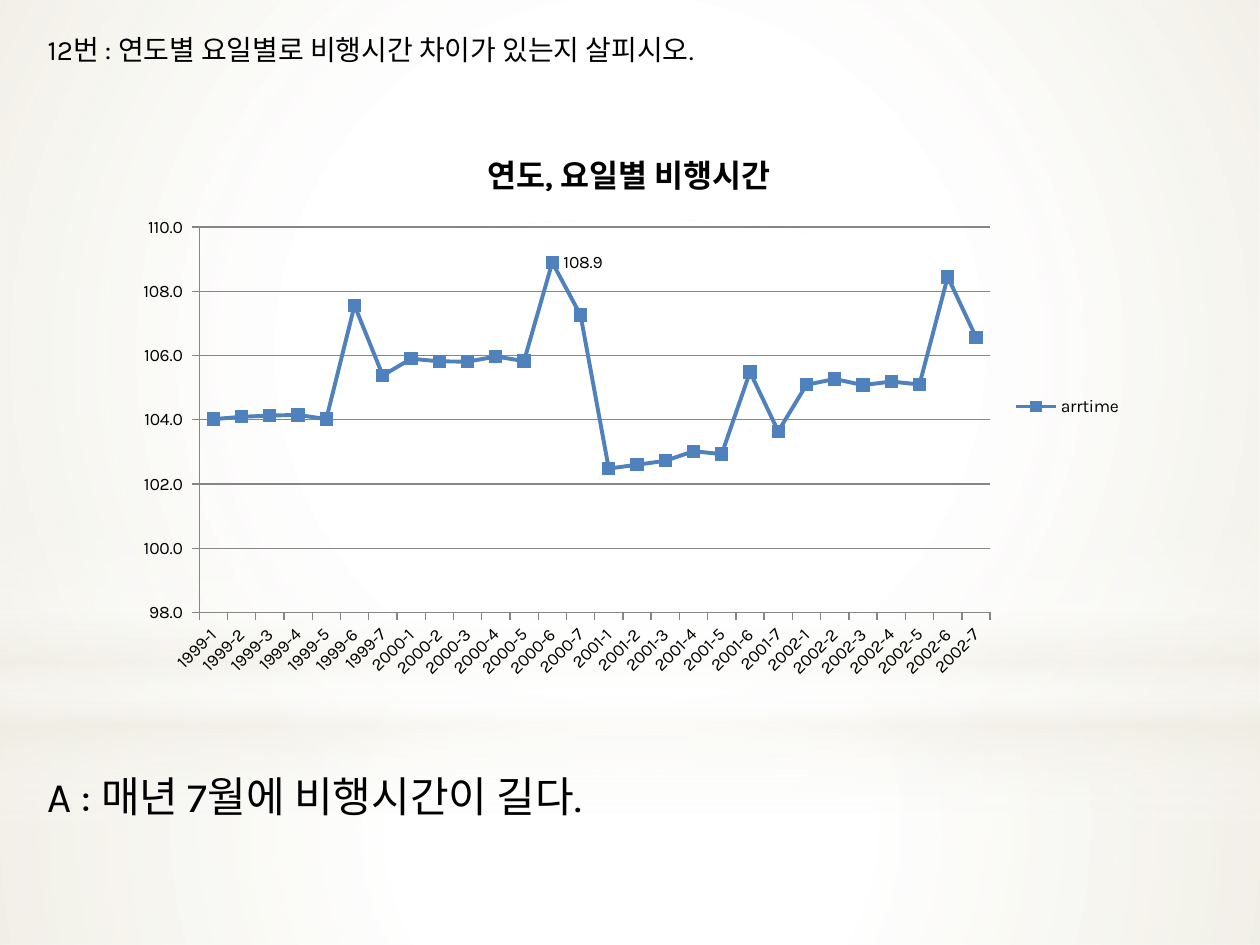
from lxml import etree
from pptx import Presentation
from pptx import util as u
from pptx.chart.data import CategoryChartData
from pptx.dml.color import RGBColor
from pptx.enum import chart as charts, shapes, text
from pptx.oxml import parse_xml
from pptx.oxml.ns import nsdecls, qn

PX = 914400 / 126
FONT = "Karla"
BLACK, GRAY, BLUE = "000000", "868686", "4F81BD"

QUESTION = ("12번 : 연도별 요일별로 비행시간 차이가 있는지 살피시오.", (35, 26, 759, 47), 16)
ANSWER = ("A : 매년 7월에 비행시간이 길다.", (35, 764, 633, 63), 24)

CHART_BOX = (123, 123, 1012, 567)
CHART_TITLE = "연도, 요일별 비행시간"
SERIES_NAME = "arrtime"
LABELLED_POINT = 12
FLIGHT_TIMES = {
    1999: (104.02, 104.09, 104.13, 104.15, 104.02, 107.56, 105.38),
    2000: (105.9, 105.82, 105.81, 105.97, 105.83, 108.9, 107.26),
    2001: (102.48, 102.6, 102.72, 103.02, 102.93, 105.49, 103.64),
    2002: (105.09, 105.27, 105.08, 105.19, 105.1, 108.45, 106.57),
}

RADIAL = '<a:path path="circle"><a:fillToRect l="50000" t="50000" r="50000" b="50000"/></a:path>'
DOWNWARD = '<a:lin ang="5400000" scaled="0"/>'
RECT, OVAL = shapes.MSO_SHAPE.RECTANGLE, shapes.MSO_SHAPE.OVAL
# preset, box, direction, stops as (position %, colour, opacity %)
BACKDROP = [
    (RECT, (0, 703, 1260, 242), RADIAL,
     [(0, "FFFFFF", 91), (37, "FFFFFF", 76), (100, "EEECE1", 79)]),
    (RECT, (0, 0, 1260, 703), RADIAL,
     [(0, "FFFFFF", 89), (48, "FFFFFF", 62), (100, "EEECE1", 79)]),
    (RECT, (0, 519, 1260, 315), DOWNWARD,
     [(0, "FFFFFF", 0), (29, "FFFFFF", 30), (45, "EEECE1", 40),
      (55, "FFFFFF", 26), (65, "EEECE1", 60), (100, "FFFFFF", 0)]),
    (OVAL, (0, 220, 1260, 703), RADIAL, [(0, "FFFFFF", 100), (56, "FFFFFF", 0)]),
]


def color(value):
    return RGBColor.from_string(value)


def emu(box):
    return [round(length * PX) for length in box]


def set_all(target, values):
    for name, value in values.items():
        setattr(target, name, value)


def style_font(font, size, bold=False):
    set_all(font, {"name": FONT, "size": u.Pt(size), "bold": bold})
    font.color.rgb = color(BLACK)


def style_line(line, value, width):
    line.color.rgb = color(value)
    line.width = u.Pt(width)


def add_backdrop(slide, preset, box, direction, stops):
    shape = slide.shapes.add_shape(preset, *emu(box))
    shape.shadow.inherit = False
    shape.line.fill.background()
    stop_xml = "".join(
        f'<a:gs pos="{position * 1000}"><a:srgbClr val="{value}">'
        f'<a:alpha val="{opacity * 1000}"/></a:srgbClr></a:gs>'
        for position, value, opacity in stops)
    gradient = parse_xml(f'<a:gradFill {nsdecls("a")} rotWithShape="1">'
                         f'<a:gsLst>{stop_xml}</a:gsLst>{direction}</a:gradFill>')
    shape.element.spPr.find(qn("a:prstGeom")).addnext(gradient)


def write_line(shape, content, box, size):
    set_all(shape, dict(zip(("left", "top", "width", "height"), emu(box))))
    frame = shape.text_frame
    frame.text = content
    set_all(frame, {"word_wrap": False, "vertical_anchor": text.MSO_ANCHOR.TOP,
                    "auto_size": text.MSO_AUTO_SIZE.SHAPE_TO_FIT_TEXT})
    paragraph = frame.paragraphs[0]
    paragraph.alignment = text.PP_ALIGN.LEFT
    style_font(paragraph.runs[0].font, size)


def add_flight_chart(slide):
    data = CategoryChartData(number_format="0.0_ ")
    data.categories = [f"{year}-{day}" for year, times in FLIGHT_TIMES.items()
                       for day in range(1, len(times) + 1)]
    data.add_series(SERIES_NAME, [time for times in FLIGHT_TIMES.values() for time in times])
    chart = slide.shapes.add_chart(
        charts.XL_CHART_TYPE.LINE_MARKERS, *emu(CHART_BOX), data).chart
    style_font(chart.font, 10)

    chart.has_title = True
    chart.chart_title.text_frame.text = CHART_TITLE
    chart.chart_title.include_in_layout = False
    style_font(chart.chart_title.text_frame.paragraphs[0].runs[0].font, 18, bold=True)
    chart.has_legend = True
    set_all(chart.legend, {"position": charts.XL_LEGEND_POSITION.RIGHT,
                           "include_in_layout": False})

    set_all(chart.value_axis, {"minimum_scale": 98, "maximum_scale": 110, "major_unit": 2,
                               "has_major_gridlines": True})
    style_line(chart.value_axis.major_gridlines.format.line, GRAY, 0.75)
    for axis in (chart.category_axis, chart.value_axis):
        axis.major_tick_mark = charts.XL_TICK_MARK.OUTSIDE
        style_line(axis.format.line, GRAY, 0.75)

    plot = chart.plots[0]
    plot.vary_by_categories = False
    series = plot.series[0]
    series.smooth = False
    style_line(series.format.line, BLUE, 2.25)
    set_all(series.marker, {"style": charts.XL_MARKER_STYLE.SQUARE, "size": 7})
    series.marker.format.fill.solid()
    series.marker.format.fill.fore_color.rgb = color(BLUE)
    style_line(series.marker.format.line, BLUE, 0.75)
    label = series.points[LABELLED_POINT].data_label
    label.position = charts.XL_LABEL_POSITION.RIGHT
    style_font(label.font, 10)


def main():
    presentation = Presentation()
    presentation.slide_width, presentation.slide_height = emu((1260, 945))
    slide = presentation.slides.add_slide(presentation.slide_layouts[5])
    for layer in BACKDROP:
        add_backdrop(slide, *layer)
    add_flight_chart(slide)
    title = slide.shapes.title
    write_line(title, *QUESTION)
    title.element.getparent().append(title.element)  # bring in front of the backdrop
    write_line(slide.shapes.add_textbox(0, 0, 0, 0), *ANSWER)
    presentation.save("out.pptx")


if __name__ == "__main__":
    main()
